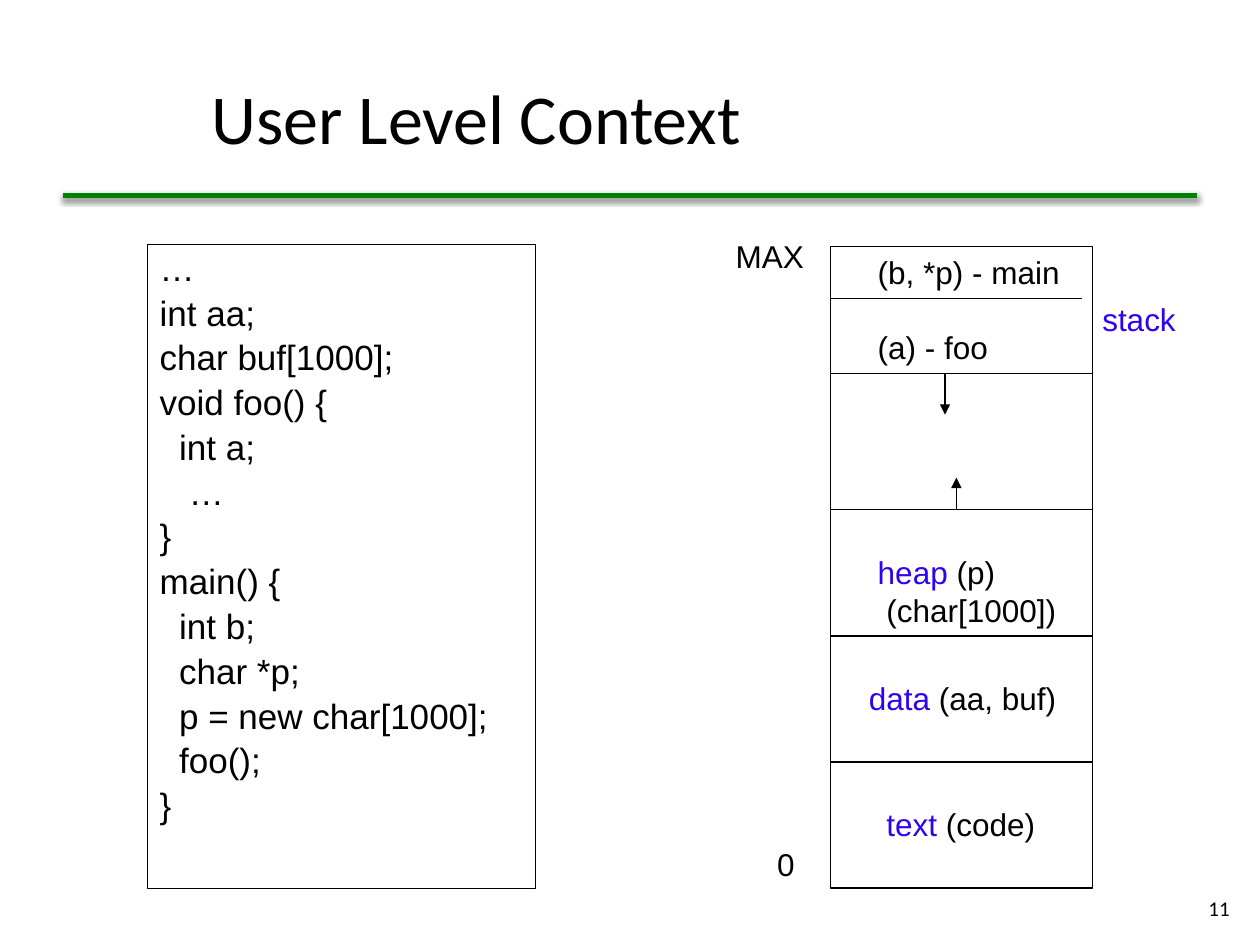
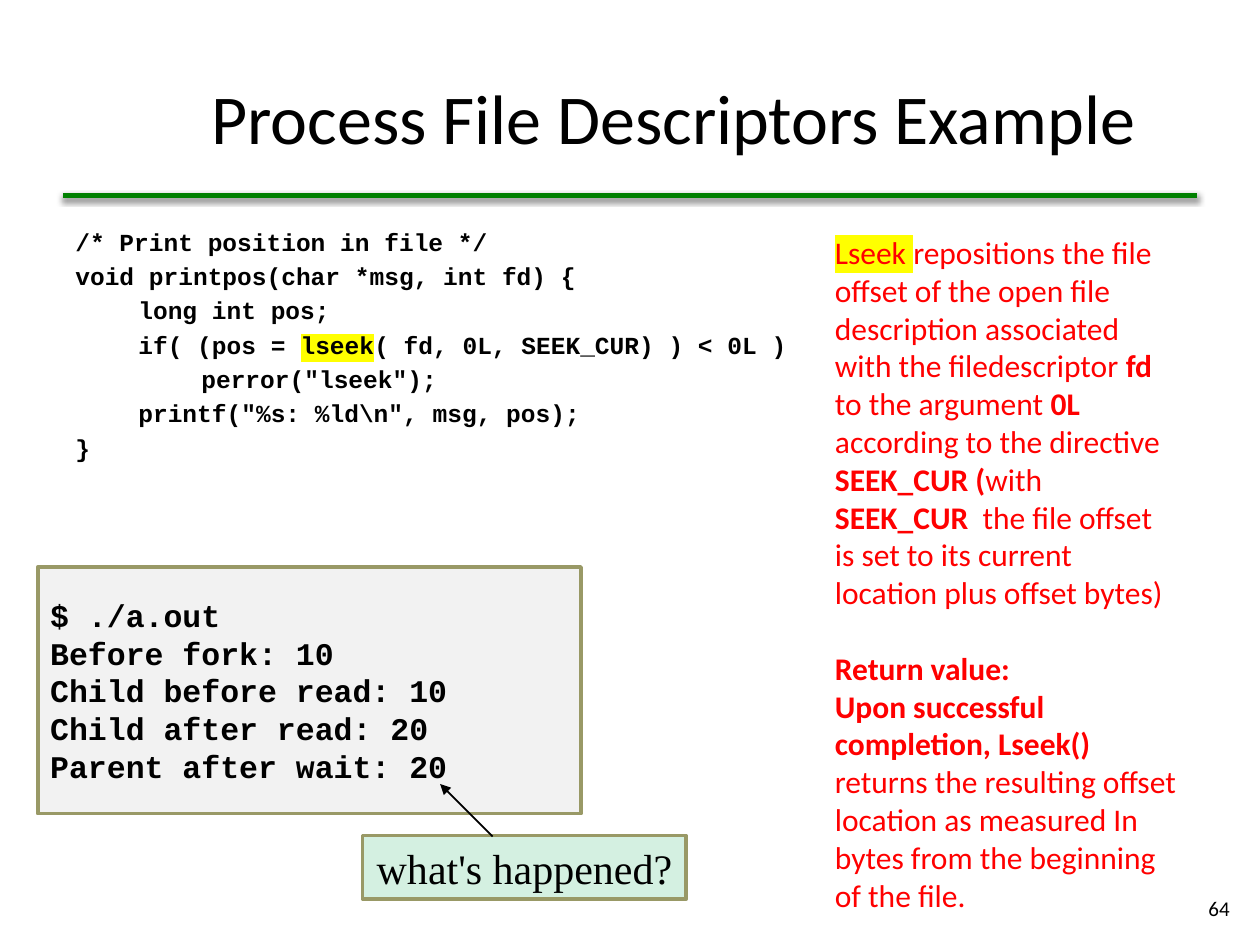
import dataclasses

import lxml.etree
import pptx
import pptx.dml.color
import pptx.enum.shapes
import pptx.enum.text
import pptx.oxml.ns
import pptx.util

Pt = pptx.util.Pt
ANCHOR = pptx.enum.text.MSO_ANCHOR
ALIGN = pptx.enum.text.PP_ALIGN
COLORS = {
    "black": "000000", "green": "008000", "violet": "2F02F0", "red": "FF0000",
    "yellow": "FFFF00", "gray": "F2F2F2", "mint": "D4F0E1", "olive": "999966",
}
LINE_PITCH = 21.6  # one line of 18 point text


@dataclasses.dataclass
class Paragraph:
    """Runs are plain strings or (string, format) pairs."""
    runs: list
    indent: float = 0
    before: float = 0


def rgb(name):
    return pptx.dml.color.RGBColor.from_string(COLORS[name])


def add_element(parent, tag, **attributes):
    element = lxml.etree.SubElement(parent, pptx.oxml.ns.qn(tag))
    for name, value in attributes.items():
        element.set(name, str(value))
    return element


def format_run(run, font="Arial", size=18, color="black", bold=False, highlight=None):
    run.font.name = font
    run.font.size = Pt(size)
    run.font.bold = bold
    run.font.color.rgb = rgb(color)
    if highlight:
        properties = run.font._element
        mark = add_element(properties, "a:highlight")
        add_element(mark, "a:srgbClr", val=COLORS[highlight])
        properties.find(pptx.oxml.ns.qn("a:latin")).addprevious(mark)


def write(frame, text, anchor=ANCHOR.TOP, align=ALIGN.LEFT, wrap=True, top=3.6,
          before=0, spacing=None, tabs=(), **style):
    """Fill a text frame; text is a string, or a list of strings and Paragraphs."""
    frame.word_wrap = wrap
    frame.vertical_anchor = anchor
    frame.margin_top = Pt(top)
    items = [text] if isinstance(text, str) else text
    for index, item in enumerate(items):
        if isinstance(item, str):
            item = Paragraph([item], before=before if index else 0)
        paragraph = frame.paragraphs[0] if index == 0 else frame.add_paragraph()
        properties = paragraph._p.get_or_add_pPr()
        if item.indent:
            properties.set("marL", str(Pt(item.indent)))
        if tabs:
            stops = add_element(properties, "a:tabLst")
            for position in tabs:
                add_element(stops, "a:tab", pos=Pt(position), algn="l")
        paragraph.alignment = align
        paragraph.space_before = Pt(item.before)
        if spacing:
            paragraph.line_spacing = spacing
        for piece in item.runs:
            words, changes = (piece, {}) if isinstance(piece, str) else piece
            run = paragraph.add_run()
            run.text = words
            format_run(run, **{**style, **changes})


class Deck:
    def __init__(self):
        self.presentation = pptx.Presentation()
        self.presentation.slide_width = Pt(720)
        self.presentation.slide_height = Pt(540)
        self.slide = None

    def start_slide(self, title, number):
        """Add a slide with its title, green rule and page number."""
        layout = self.presentation.slide_layouts[6]
        self.slide = self.presentation.slides.add_slide(layout)
        self.text(113.8, 21.6, 595.4, 90, title, font="Calibri", size=40,
                  anchor=ANCHOR.MIDDLE)
        self.line(36, 111.6, 684, 111.6, color="green", width=3, shadow=True)
        self.text(681, 504.7, 28.8, 28.8, number, font="Calibri", size=12,
                  anchor=ANCHOR.MIDDLE, align=ALIGN.RIGHT)

    def text(self, left, top, width, height, content, **style):
        shape = self.slide.shapes.add_textbox(Pt(left), Pt(top), Pt(width), Pt(height))
        write(shape.text_frame, content, **style)

    def box(self, left, top, width, height, content, fill=None, line="black",
            line_width=0.75, inset=3.6, **style):
        shape = self.slide.shapes.add_shape(
            pptx.enum.shapes.MSO_SHAPE.RECTANGLE,
            Pt(left), Pt(top), Pt(width), Pt(height))
        shape.shadow.inherit = False
        if fill:
            shape.fill.solid()
            shape.fill.fore_color.rgb = rgb(fill)
        else:
            shape.fill.background()
        shape.line.color.rgb = rgb(line)
        shape.line.width = Pt(line_width)
        write(shape.text_frame, content, top=inset, **style)

    def line(self, x1, y1, x2, y2, color="black", width=0.75, arrow=False, shadow=False):
        connector = self.slide.shapes.add_connector(
            pptx.enum.shapes.MSO_CONNECTOR.STRAIGHT, Pt(x1), Pt(y1), Pt(x2), Pt(y2))
        connector.line.color.rgb = rgb(color)
        connector.line.width = Pt(width)
        if arrow:
            add_element(connector.line._get_or_add_ln(), "a:tailEnd", type="triangle")
        effects = add_element(connector._element.spPr, "a:effectLst")
        if shadow:
            outer = add_element(effects, "a:outerShdw", blurRad=Pt(3.1), dist=Pt(1.6),
                                dir=5400000, rotWithShape=0)
            shade = add_element(outer, "a:srgbClr", val=COLORS["black"])
            add_element(shade, "a:alpha", val=60000)


def build_context_slide(deck):
    deck.start_slide("User Level Context", "11")

    # Memory map: stack on top, then free space, then three equal segments
    left, width, stack_top, stack_bottom, heap_top = 474.5, 150, 141, 213.5, 291
    right = left + width
    deck.box(left, stack_top, width, stack_bottom - stack_top, [
        Paragraph(["(b, *p) - main"], indent=20),
        Paragraph(["(a) - foo"], indent=20, before=LINE_PITCH)])
    name = {"color": "violet"}
    segments = [
        [Paragraph([("heap", name), " (p)"], indent=20),
         Paragraph(["(char[1000])"], indent=25)],
        [Paragraph([("data", name), " (aa, buf)"], indent=15)],
        [Paragraph([("text", name), " (code)"], indent=25)],
    ]
    for index, content in enumerate(segments):
        deck.box(left, heap_top + 72 * index, width, 72.5, content,
                 inset=3.6 + LINE_PITCH)
    for side in (left, right):
        deck.line(side, stack_bottom, side, heap_top)
    deck.line(540, stack_bottom, 540, 237, arrow=True)
    deck.line(546.5, heap_top, 546.5, 273, arrow=True)
    deck.line(left, 170.6, 618.5, 170.6)

    # Labels beside the map
    deck.text(437, 479.5, 24.5, 28.8, "0", wrap=False)
    deck.text(413.3, 131.8, 53.3, 28.8, "MAX", wrap=False)
    deck.text(622.8, 167.8, 56.2, 28.8, "stack", wrap=False, color="violet")

    # Program
    deck.box(84.2, 139.9, 222, 368, [
        "…", "int aa;", "char buf[1000];", "void foo() {", "  int a;", "   …", "}",
        "main() {", "  int b;", "  char *p;", "  p = new char[1000];", "  foo();", "}",
    ], size=20, spacing=0.9, before=4)


def build_descriptors_slide(deck):
    deck.start_slide("Process File Descriptors Example", "64")
    marked = {"highlight": "yellow"}
    bold = {"bold": True}

    # Code
    deck.text(36, 126, 440, 150, [
        "/* Print position in file */",
        "void printpos(char *msg, int fd) {",
        "\tlong int pos;",
        Paragraph(["\tif( (pos = ", ("lseek", marked),
                   "( fd, 0L, SEEK_CUR) ) < 0L )"], before=2.8),
        "\t\tperror(\"lseek\");",
        "\tprintf(\"%s: %ld\\n\", msg, pos);",
        "}",
    ], font="Courier New", size=14, bold=True, before=2.8, tabs=(36, 72))

    # Program output and question
    deck.box(21.6, 324, 310.5, 141, [
        "$ ./a.out", "Before fork: 10", "Child before read: 10",
        "Child after read: 20", "Parent after wait: 20",
    ], fill="gray", line="olive", line_width=2, anchor=ANCHOR.MIDDLE,
        font="Courier New", bold=True)
    deck.box(207.2, 477.5, 185, 36.3, "what's happened?", fill="mint", line="olive",
             line_width=2, anchor=ANCHOR.MIDDLE, align=ALIGN.CENTER, wrap=False,
             font="Times New Roman", size=24)
    deck.line(281.5, 478, 251.5, 448, width=1, arrow=True)

    # Explanation
    deck.text(470, 129.6, 210.2, 399.6, [
        Paragraph([
            ("Lseek ", marked),
            "repositions the file offset of the open file description associated "
            "with the filedescriptor ",
            ("fd ", bold), "to the argument ", ("0L", bold),
            " according to the directive ", ("SEEK_CUR (", bold), "with ",
            ("SEEK_CUR  ", bold),
            "the file offset is set to its current location plus offset bytes)"]),
        Paragraph([("Return value:", bold)], before=LINE_PITCH),
        Paragraph([
            ("Upon successful completion, Lseek()", bold),
            " returns the resulting offset location as measured In bytes from "
            "the beginning of the file."]),
    ], font="Calibri", color="red")


def main():
    deck = Deck()
    build_context_slide(deck)
    build_descriptors_slide(deck)
    deck.presentation.save("out.pptx")


if __name__ == "__main__":
    main()
